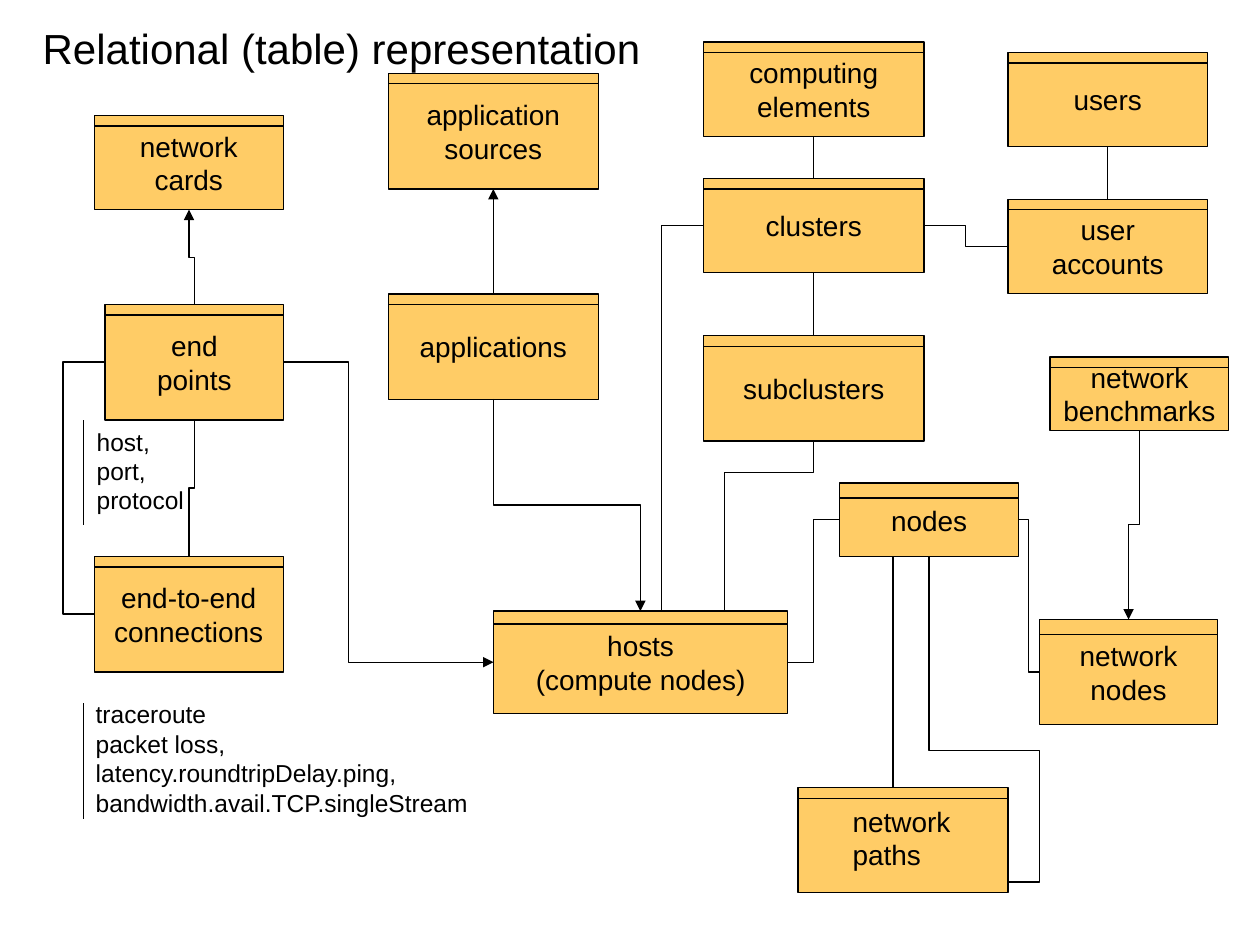
from pptx import Presentation
from pptx.dml.color import RGBColor
from pptx.enum.shapes import MSO_CONNECTOR, MSO_SHAPE
from pptx.enum.text import MSO_ANCHOR, MSO_AUTO_SIZE, PP_ALIGN
from pptx.oxml.ns import qn
from pptx.util import Cm, Pt
from lxml import etree

BLACK = RGBColor(0x00, 0x00, 0x00)
TABLE_FILL = RGBColor(0xFF, 0xCC, 0x66)
LINE_WIDTH = Pt(0.75)
STRAIGHT, ELBOW = MSO_CONNECTOR.STRAIGHT, MSO_CONNECTOR.ELBOW
RECTANGLE = MSO_SHAPE.RECTANGLE
TOP, MIDDLE = MSO_ANCHOR.TOP, MSO_ANCHOR.MIDDLE
LEFT, CENTER = PP_ALIGN.LEFT, PP_ALIGN.CENTER
NO_AUTOFIT = MSO_AUTO_SIZE.NONE
TOP_SIDE, BOTTOM_SIDE = 0, 2


def write(shape, text, size=16, align=LEFT, anchor=TOP):
    frame = shape.text_frame
    frame.text = text
    frame.word_wrap = False
    frame.auto_size = NO_AUTOFIT
    frame.vertical_anchor = anchor
    frame.margin_left = frame.margin_right = Cm(0.25)
    frame.margin_top = frame.margin_bottom = Cm(0.13)
    for paragraph in frame.paragraphs:
        paragraph.alignment = align
        paragraph.font.name = "Arial"
        paragraph.font.size = Pt(size)
        paragraph.font.color.rgb = BLACK


def connect(begin, end, bends=None, vertical=False, arrow=False):
    """Draw a line in cm; bends are the positions of the inner legs (None: straight).

    A vertical elbow leaves its start up or down, by turning the connector.
    """
    (x1, y1), (x2, y2) = begin, end
    turn = 0
    if vertical:
        turn = 90 if x2 <= x1 and y2 > y1 else 270
        sign = 1 if turn == 90 else -1
        center_x, center_y = (x1 + x2) / 2, (y1 + y2) / 2
        half_x, half_y = sign * (x2 - x1) / 2, sign * (y2 - y1) / 2
        x1, x2 = center_x - half_y, center_x + half_y
        y1, y2 = center_y + half_x, center_y - half_x
    kind = STRAIGHT if bends is None else ELBOW
    line = slide.shapes.add_connector(kind, Cm(x1), Cm(y1), Cm(x2), Cm(y2))
    line.line.color.rgb = BLACK
    line.line.width = LINE_WIDTH
    properties = line.element.spPr
    if turn:
        properties.xfrm.rot = turn
    if bends is not None:
        guides = []
        for number, bend in enumerate(bends):
            axis = (number + vertical) % 2
            share = (bend - begin[axis]) / (end[axis] - begin[axis])
            guides.append((f"adj{number + 1}", round(share * 100000)))
        properties.prstGeom.set("prst", f"bentConnector{len(bends) + 2}")
        properties.prstGeom.rewrite_guides(guides)
    if arrow:
        etree.SubElement(properties.find(qn("a:ln")), qn("a:tailEnd"), type="triangle")
    etree.SubElement(properties, qn("a:effectLst"))
    return line


prs = Presentation()
prs.slide_width, prs.slide_height = Cm(25.4), Cm(19.05)
slide = prs.slides.add_slide(prs.slide_layouts[5])

title = slide.shapes.title
title.left, title.top, title.width, title.height = Cm(0.61), Cm(0.33), Cm(12.55), Cm(1.27)
write(title, "Relational (table) representation", size=24)

# Database tables: name, left, top, width, height, depth of the header strip
tables = [
    ("network\ncards", 1.9, 2.33, 3.81, 1.9, 0.21),
    ("end\npoints", 2.12, 6.14, 3.6, 2.33, 0.21),
    ("end-to-end\nconnections", 1.9, 11.22, 3.81, 2.33, 0.21),
    ("application\nsources", 7.83, 1.48, 4.23, 2.33, 0.21),
    ("applications", 7.83, 5.93, 4.23, 2.12, 0.21),
    ("hosts\n(compute nodes)", 9.95, 12.32, 5.93, 2.06, 0.26),
    ("computing\nelements", 14.18, 0.85, 4.45, 1.9, 0.21),
    ("clusters", 14.18, 3.6, 4.45, 1.9, 0.21),
    ("subclusters", 14.18, 6.77, 4.45, 2.12, 0.21),
    ("nodes", 16.93, 9.74, 3.6, 1.48, 0.3),
    ("", 16.09, 15.88, 4.23, 2.12, 0.21),
    ("users", 20.32, 1.06, 4.02, 1.9, 0.21),
    ("user\naccounts", 20.32, 4.02, 4.02, 1.9, 0.21),
    ("network\nbenchmarks", 21.17, 7.2, 3.6, 1.48, 0.21),
    ("network\nnodes", 20.95, 12.49, 3.6, 2.12, 0.3),
]
boxes = {}
for name, left, top, width, height, header in tables:
    box = slide.shapes.add_shape(RECTANGLE, Cm(left), Cm(top), Cm(width), Cm(height))
    box.shadow.inherit = False
    box.fill.solid()
    box.fill.fore_color.rgb = TABLE_FILL
    box.line.color.rgb = BLACK
    box.line.width = LINE_WIDTH
    if name:
        write(box, name, align=CENTER, anchor=MIDDLE)
    connect((left, top + header), (left + width, top + header))
    boxes[name] = box

# Free text: left, top, width, height, size
labels = [
    ("network\npaths", 16.94, 16.08, 2.46, 1.63, 16),
    ("host,\nport,\nprotocol", 1.7, 8.47, 2.26, 2.03, 14),
    ("traceroute\npacket loss,\nlatency.roundtripDelay.ping,\n"
     "bandwidth.avail.TCP.singleStream", 1.68, 13.97, 8.08, 2.64, 14),
]
for text, left, top, width, height, size in labels:
    label = slide.shapes.add_textbox(Cm(left), Cm(top), Cm(width), Cm(height))
    write(label, text, size=size)

# Rules beside the attribute lists, and the line from nodes to network paths
for x, top, bottom in [(1.69, 8.47, 10.58), (1.69, 14.18, 16.51), (18, 11.22, 15.88)]:
    connect((x, top), (x, bottom))

# Straight relations between tables that stand above each other
for upper, lower, points_up in [
    ("computing\nelements", "clusters", False),
    ("clusters", "subclusters", False),
    ("users", "user\naccounts", False),
    ("application\nsources", "applications", True),
]:
    relation = connect((0, 0), (1, 1), arrow=points_up)
    relation.begin_connect(boxes[lower], TOP_SIDE)
    relation.end_connect(boxes[upper], BOTTOM_SIDE)

# Bent relations: begin, end, bends, vertical start, arrow
bent_relations = [
    ((3.92, 6.14), (3.81, 4.23), [5.19], True, True),
    ((3.92, 8.47), (3.81, 11.22), [9.84], True, False),
    ((2.12, 7.3), (1.9, 12.38), [1.27], False, False),
    ((5.72, 7.3), (9.95, 13.35), [7.03], False, True),
    ((9.95, 8.04), (12.91, 12.32), [10.18], True, True),
    ((14.18, 4.55), (13.34, 12.32), [], False, False),
    ((16.4, 8.89), (14.6, 12.32), [9.53], True, False),
    ((16.93, 10.48), (15.88, 13.35), [16.4], False, False),
    ((20.53, 10.48), (20.95, 13.55), [20.74], False, False),
    ((18.63, 4.55), (20.32, 4.97), [19.47], False, False),
    ((22.97, 8.68), (22.75, 12.49), [10.58], True, True),
    ((18.73, 11.22), (20.32, 17.78), [15.13, 20.95], True, False),
]
for begin, end, bends, vertical, arrow in bent_relations:
    connect(begin, end, bends, vertical, arrow)

prs.save("out.pptx")
